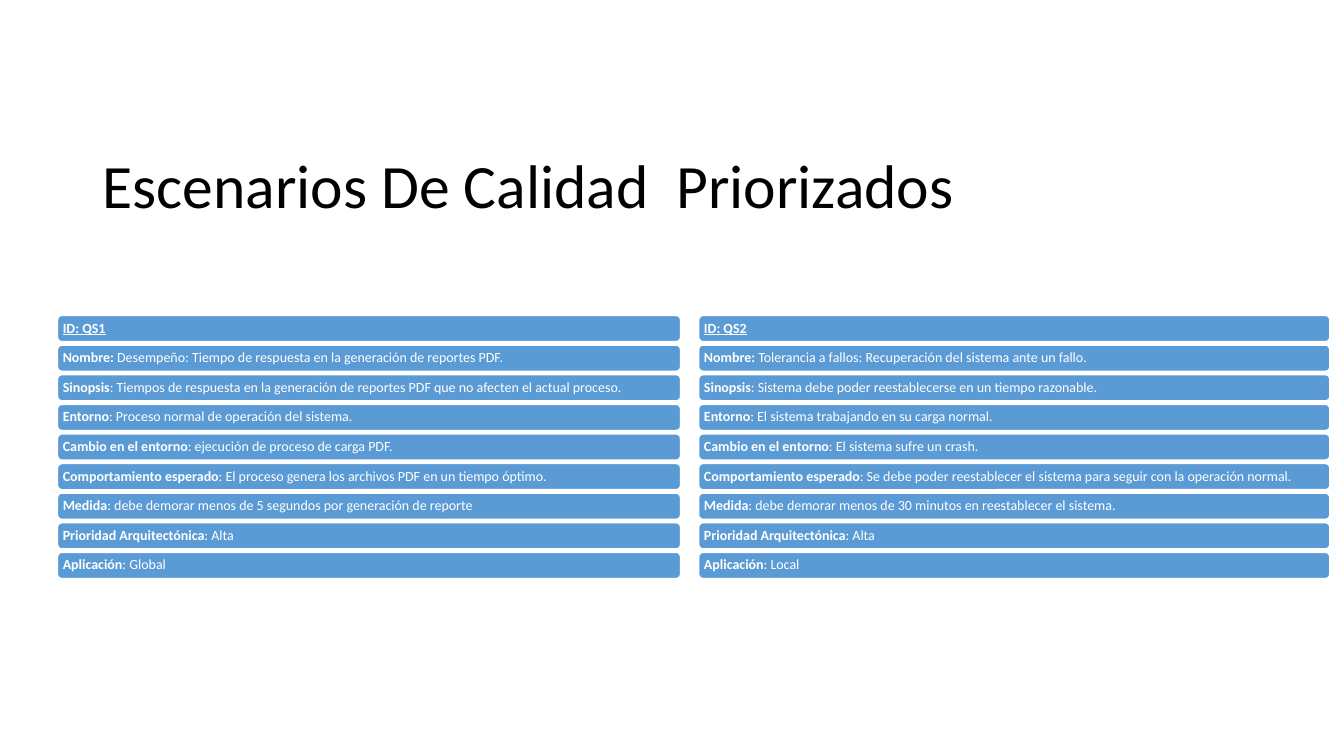
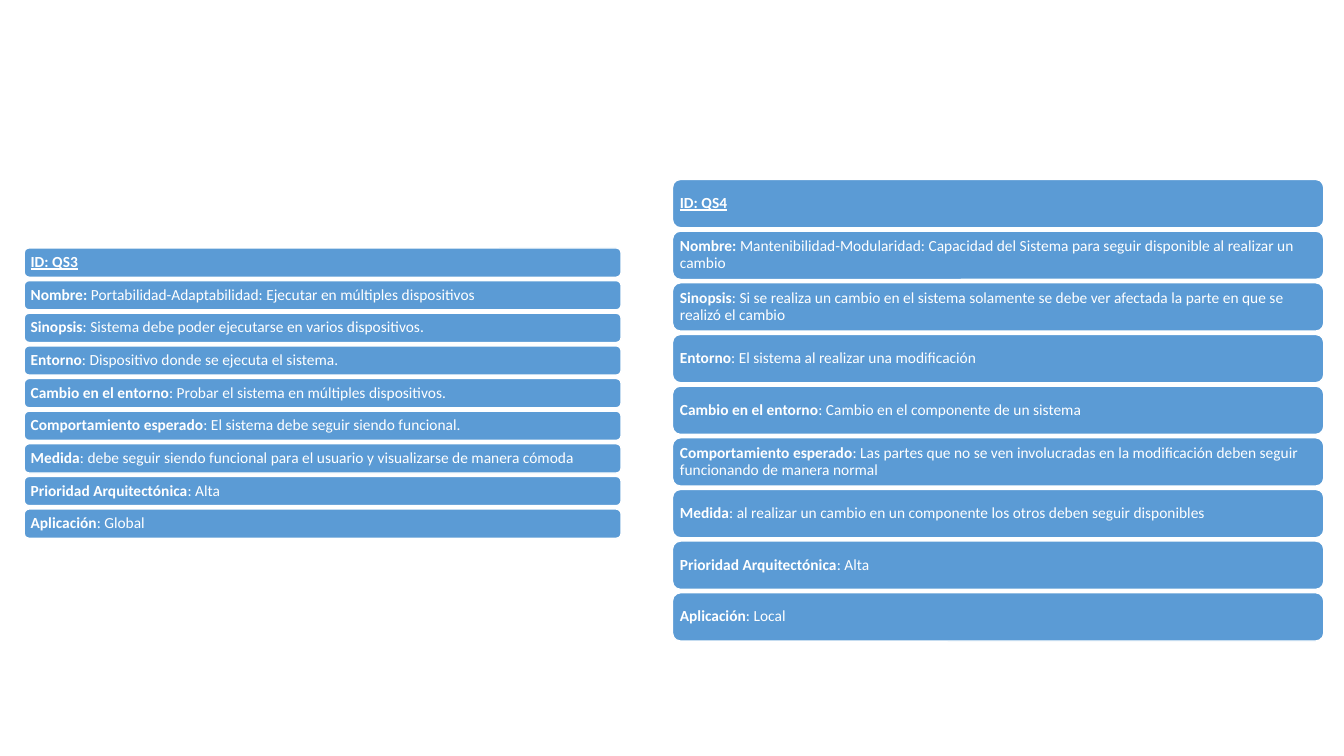
import pptx
import pptx.util
import pptx.dml.color
import pptx.enum.shapes
import pptx.enum.text

Inches = pptx.util.Inches

LABELS = ("Nombre: ", "Sinopsis", "Entorno", "Cambio en el entorno", "Comportamiento esperado",
          "Medida", "Prioridad Arquitectónica", "Aplicación")

QS1 = ("Desempeño: Tiempo de respuesta en la generación de reportes PDF.",
       ": Tiempos de respuesta en la generación de reportes PDF que no afecten el actual proceso.",
       ": Proceso normal de operación del sistema.",
       ": ejecución de proceso de carga PDF.",
       ": El proceso genera los archivos PDF en un tiempo óptimo.",
       ": debe demorar menos de 5 segundos por generación de reporte",
       ": Alta",
       ": Global")

QS2 = ("Tolerancia a fallos: Recuperación del sistema ante un fallo.",
       ": Sistema debe poder reestablecerse en un tiempo razonable.",
       ": El sistema trabajando en su carga normal.",
       ": El sistema sufre un crash.",
       ": Se debe poder reestablecer el sistema para seguir con la operación normal.",
       ": debe demorar menos de 30 minutos en reestablecer el sistema.",
       ": Alta",
       ": Local")

QS3 = ("Portabilidad-Adaptabilidad: Ejecutar en múltiples dispositivos",
       ": Sistema debe poder ejecutarse en varios dispositivos.",
       ": Dispositivo donde se ejecuta el sistema.",
       ": Probar el sistema en múltiples dispositivos.",
       ": El sistema debe seguir siendo funcional.",
       ": debe seguir siendo funcional para el usuario y visualizarse de manera cómoda",
       ": Alta",
       ": Global")

QS4 = ("Mantenibilidad-Modularidad: Capacidad del Sistema para seguir disponible al realizar un cambio",
       ": Si se realiza un cambio en el sistema solamente se debe ver afectada la parte en que se "
       "realizó el cambio",
       ": El sistema al realizar una modificación",
       ": Cambio en el componente de un sistema",
       ": Las partes que no se ven involucradas en la modificación deben seguir funcionando de "
       "manera normal",
       ": al realizar un cambio en un componente los otros deben seguir disponibles",
       ": Alta",
       ": Local")


def color(code):
    return pptx.dml.color.RGBColor.from_string(code)


class Deck:
    """Holds the shared style and the current slide."""

    font = "Calibri"
    blue = "5B9BD5"
    white = "FFFFFF"
    black = "000000"

    def __init__(self):
        self.file = pptx.Presentation()
        self.file.slide_width = Inches(13.33)
        self.file.slide_height = Inches(7.5)
        self.slide = None

    def add(self):
        self.slide = self.file.slides.add_slide(self.file.slide_layouts[6])

    def style(self, frame, size, code):
        frame.word_wrap = True
        frame.vertical_anchor = pptx.enum.text.MSO_ANCHOR.MIDDLE
        line = frame.paragraphs[0]
        line.alignment = pptx.enum.text.PP_ALIGN.LEFT
        line.line_spacing = 0.9
        for run in line.runs:
            run.font.name = self.font
            run.font.size = pptx.util.Pt(size)
            run.font.color.rgb = color(code)

    def title(self, text):
        box = self.slide.shapes.add_textbox(Inches(0.92), Inches(1.15), Inches(11.5), Inches(1.45))
        box.text_frame.text = text
        self.style(box.text_frame, 44, self.black)

    def bar(self, left, top, width, height, size, inset, label, value):
        bar = self.slide.shapes.add_shape(
            pptx.enum.shapes.MSO_SHAPE.ROUNDED_RECTANGLE,
            Inches(left), Inches(top), Inches(width), Inches(height))
        bar.shadow.inherit = False
        bar.fill.solid()
        bar.fill.fore_color.rgb = color(self.blue)
        bar.line.color.rgb = color(self.white)
        bar.line.width = pptx.util.Pt(1)
        frame = bar.text_frame
        frame.margin_left = frame.margin_right = Inches(inset)
        frame.margin_top = frame.margin_bottom = Inches(inset)
        line = frame.paragraphs[0]
        line.text = label
        line.runs[0].font.bold = True
        if value:
            line.add_run().text = value
        else:
            line.runs[0].font.underline = True
        self.style(frame, size, self.white)

    def stack(self, name, values, left, first, last, width, height, size, inset):
        rows = [(f"ID: {name}", ""), *zip(LABELS, values)]
        step = (last - first) / (len(rows) - 1)
        for index, (label, value) in enumerate(rows):
            self.bar(left, first + index * step, width, height, size, inset, label, value)


def main():
    deck = Deck()
    deck.add()
    deck.title("Escenarios De Calidad  Priorizados")
    deck.stack("QS1", QS1, 0.57, 3.13, 5.48, 6.18, 0.26, 10, 0.04)
    deck.stack("QS2", QS2, 6.93, 3.13, 5.48, 6.26, 0.26, 10, 0.04)
    deck.add()
    deck.stack("QS3", QS3, 0.24, 2.46, 5.05, 5.92, 0.29, 11, 0.05)
    deck.stack("QS4", QS4, 6.67, 1.78, 5.88, 6.46, 0.48, 11, 0.05)
    deck.file.save("out.pptx")


if __name__ == "__main__":
    main()
